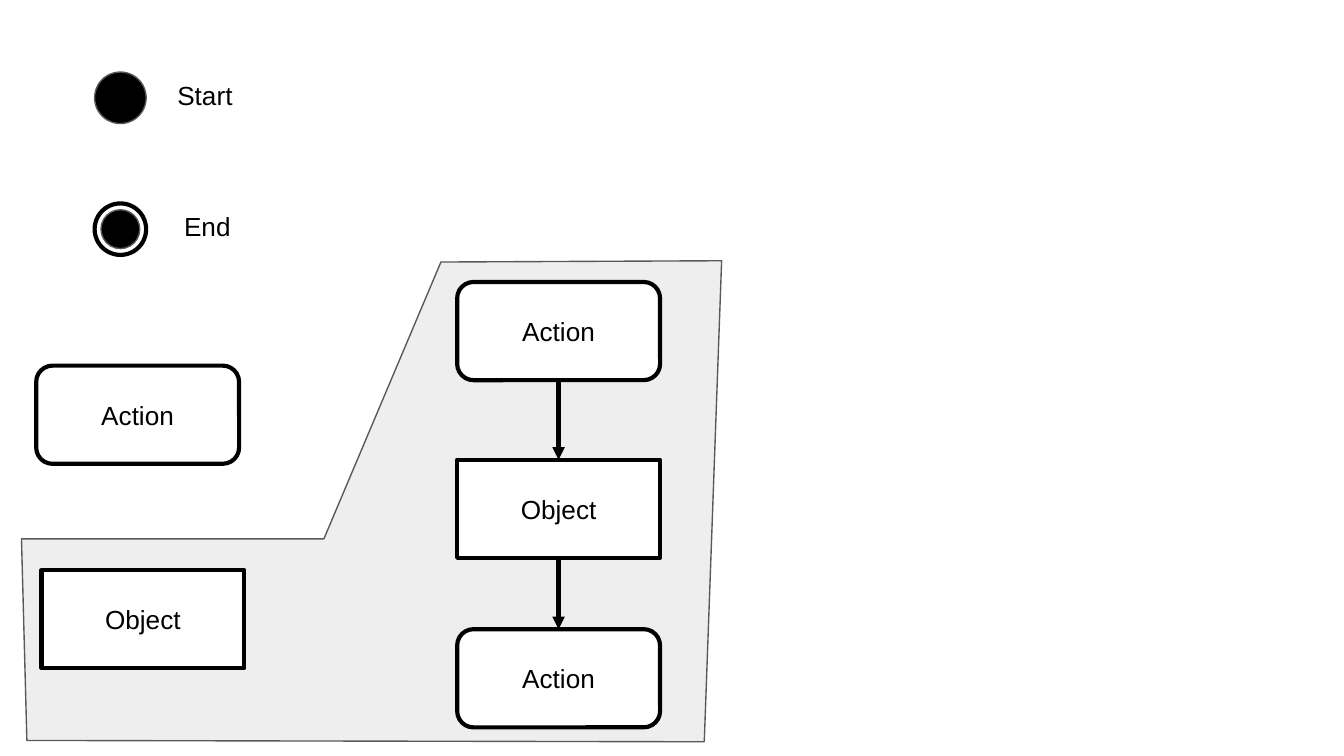
from lxml import etree
from pptx import Presentation
from pptx.dml.color import RGBColor
from pptx.enum import shapes, text
from pptx.oxml.ns import qn
from pptx.util import Pt

BLACK = RGBColor(0x00, 0x00, 0x00)
WHITE = RGBColor(0xFF, 0xFF, 0xFF)
PANEL_GREY = RGBColor(0xEE, 0xEE, 0xEE)
EDGE_GREY = RGBColor(0x59, 0x59, 0x59)

ACTION = shapes.MSO_SHAPE.ROUNDED_RECTANGLE
OBJECT = shapes.MSO_SHAPE.RECTANGLE
NODE_WIDTH, NODE_HEIGHT = 108.7, 52.6
INSET = 7.2
THIN, THICK = 0.75, 2.25


def paint(shape, fill, edge, weight):
    """Give a shape its fill and outline, without a shadow."""
    shape.shadow.inherit = False
    shape.fill.solid()
    shape.fill.fore_color.rgb = fill
    shape.line.color.rgb = edge
    shape.line.width = Pt(weight)


def write(shape, wording, anchor, alignment):
    """Set the label of a shape or text box."""
    frame = shape.text_frame
    frame.text = wording
    frame.word_wrap = True
    frame.vertical_anchor = anchor
    frame.margin_left = frame.margin_right = Pt(INSET)
    frame.margin_top = frame.margin_bottom = Pt(INSET)
    label = frame.paragraphs[0]
    label.alignment = alignment
    font = label.runs[0].font
    font.name, font.size, font.color.rgb = "Arial", Pt(14), BLACK


def add_panel(slide, left, top):
    """Draw the grey region behind the object notation."""
    corners = [(0, 149), (162, 149), (224.7, 0.7), (375.1, 0), (365.8, 257.7), (2.9, 257)]
    points = [(Pt(left + x), Pt(top + y)) for x, y in corners]
    builder = slide.shapes.build_freeform(*points[0], scale=1.0)
    builder.add_line_segments(points[1:], close=True)
    paint(builder.convert_to_shape(), PANEL_GREY, EDGE_GREY, THIN)


def add_disc(slide, left, top, size, fill, edge, weight):
    """Draw one circle of a start or end marker."""
    disc = slide.shapes.add_shape(
        shapes.MSO_SHAPE.OVAL, Pt(left), Pt(top), Pt(size), Pt(size))
    paint(disc, fill, edge, weight)


def add_caption(slide, left, top, wording):
    """Place the wording beside a marker."""
    caption = slide.shapes.add_textbox(Pt(left), Pt(top), Pt(46), Pt(33.8))
    write(caption, wording, text.MSO_ANCHOR.TOP, text.PP_ALIGN.LEFT)


def add_markers(slide, left, top, size=27.6, step=70.4, ring_gap=3.4):
    """Place the start and end markers with their captions."""
    end_top = top + step
    add_disc(slide, left, top, size, BLACK, EDGE_GREY, THIN)
    add_disc(slide, left, end_top, size, WHITE, BLACK, THICK)
    add_disc(slide, left + ring_gap, end_top + ring_gap, size - 2 * ring_gap,
             BLACK, EDGE_GREY, THIN)
    add_caption(slide, left + 37.2, top - 3.3, "Start")
    add_caption(slide, left + 40.8, end_top - 3.3, "End")


def add_node(slide, left, top, kind):
    """Draw an action or object node."""
    node = slide.shapes.add_shape(
        kind, Pt(left), Pt(top), Pt(NODE_WIDTH), Pt(NODE_HEIGHT))
    paint(node, WHITE, BLACK, THICK)
    wording = "Action" if kind == ACTION else "Object"
    write(node, wording, text.MSO_ANCHOR.MIDDLE, text.PP_ALIGN.CENTER)
    return node


def add_arrow(slide, source, target):
    """Join the bottom of one node to the top of the next."""
    arrow = slide.shapes.add_connector(shapes.MSO_CONNECTOR.STRAIGHT, 0, 0, 0, 0)
    arrow.begin_connect(source, 2)
    arrow.end_connect(target, 0)
    arrow.line.color.rgb = BLACK
    arrow.line.width = Pt(THICK)
    etree.SubElement(arrow.line._get_or_add_ln(), qn("a:tailEnd"), type="triangle")
    etree.SubElement(arrow._element.spPr, qn("a:effectLst"))


def add_flow(slide, left, top):
    """Draw the action, object, action sequence with its arrows."""
    steps = [(0, ACTION), (95.2, OBJECT), (186, ACTION)]
    nodes = [add_node(slide, left, top + offset, kind) for offset, kind in steps]
    for source, target in zip(nodes, nodes[1:]):
        add_arrow(slide, source, target)


def main():
    """Build the activity diagram notation slide."""
    deck = Presentation()
    deck.slide_width, deck.slide_height = Pt(720), Pt(405)
    slide = deck.slides.add_slide(deck.slide_layouts[6])
    add_panel(slide, 11.5, 139.7)
    add_markers(slide, 50.7, 38.6)
    add_node(slide, 19.4, 195.9, ACTION)
    add_node(slide, 22.2, 305.4, OBJECT)
    add_flow(slide, 244.9, 151.1)
    deck.save("out.pptx")


if __name__ == "__main__":
    main()
